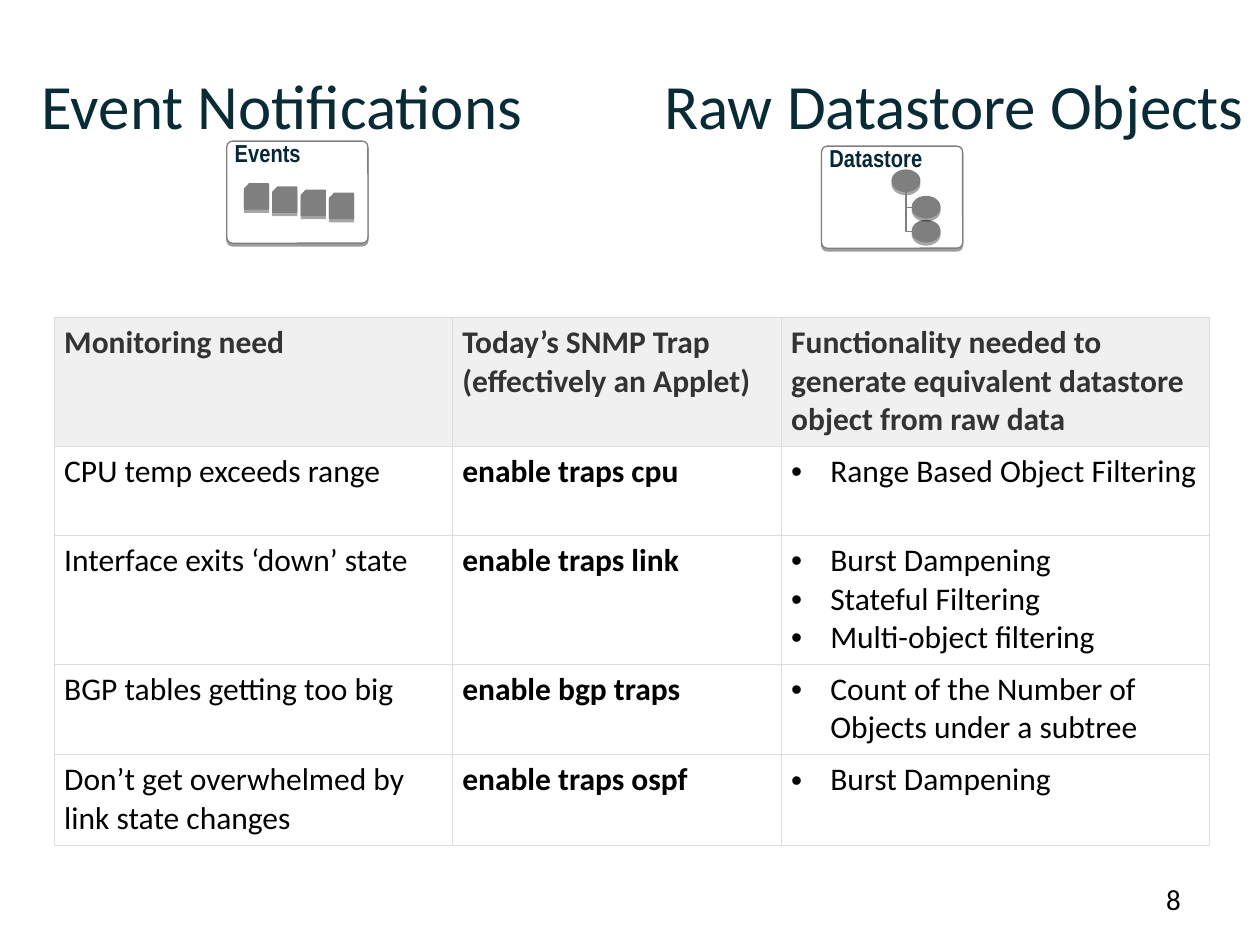
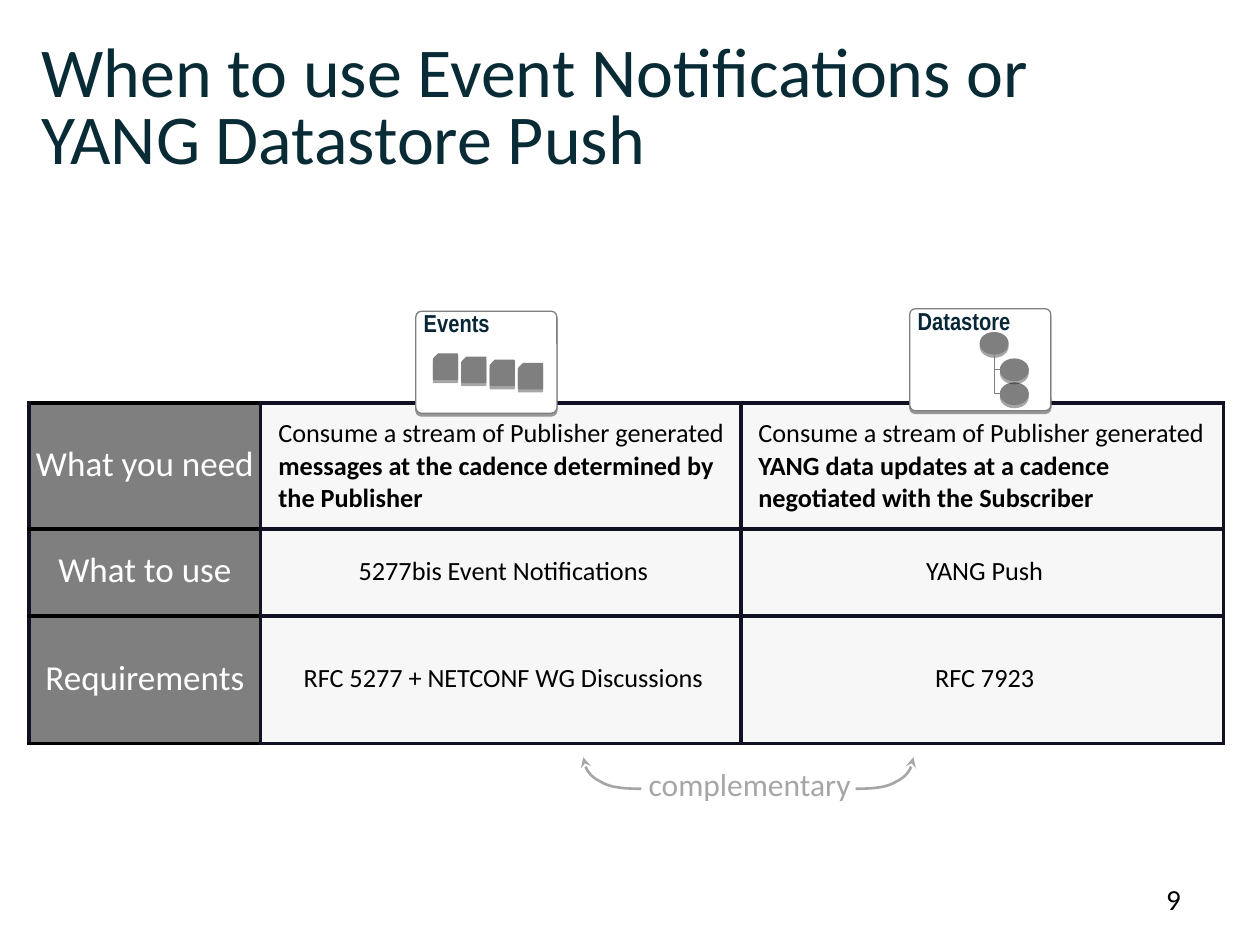
from dataclasses import dataclass
from typing import Optional

import pptx
import pptx.util
import pptx.dml.color
import pptx.enum.shapes
import pptx.enum.text
import pptx.oxml
import pptx.oxml.ns
from lxml import etree

Inches = pptx.util.Inches
Pt = pptx.util.Pt
RGBColor = pptx.dml.color.RGBColor
MSO_SHAPE = pptx.enum.shapes.MSO_SHAPE
PP_ALIGN = pptx.enum.text.PP_ALIGN
MSO_ANCHOR = pptx.enum.text.MSO_ANCHOR
qn = pptx.oxml.ns.qn

# Shared look
FONT = "Calibri"
BADGE_FONT = "Arial Narrow"
TITLE_INK = RGBColor(0x09, 0x2B, 0x35)
BADGE_INK = RGBColor(0x07, 0x27, 0x37)
BLACK = RGBColor(0, 0, 0)
WHITE = RGBColor(0xFF, 0xFF, 0xFF)
GREY = RGBColor(0x7F, 0x7F, 0x7F)
PALE_INK = RGBColor(0xA6, 0xA6, 0xA6)
HEADER_INK = RGBColor(0x33, 0x33, 0x33)
HEADER_FILL = RGBColor(0xF0, 0xF0, 0xF0)
HAIRLINE = RGBColor(0xDD, 0xDD, 0xDD)
GRID = RGBColor(0x10, 0x11, 0x22)
CELL_FILL = RGBColor(0xD9, 0xD9, 0xD9)

CARD_W, CARD_H = 1.12, 0.81
NODE_W, NODE_H = 0.22, 0.17


@dataclass
class CellStyle:
    size: float
    color: RGBColor
    fill: RGBColor
    border: RGBColor
    border_width: float
    rule: Optional[RGBColor] = None  # top and bottom edges, if they differ
    opacity: int = 100
    bold: Optional[bool] = None
    bullet: bool = False
    anchor: MSO_ANCHOR = MSO_ANCHOR.TOP
    align: PP_ALIGN = PP_ALIGN.LEFT
    spacing: Optional[float] = None
    indent: float = 0
    margins: tuple = (0.08, 0.08)


@dataclass
class Need:
    need: str
    trap: str
    functionality: str


@dataclass
class Choice:
    label: str
    events: tuple  # plain text, bold text
    datastore: tuple
    height: float


NEEDS_HEADER = Need(
    "Monitoring need",
    "Today’s SNMP Trap\n(effectively an Applet)",
    "Functionality needed to generate equivalent datastore object from raw data",
)
NEEDS = [
    Need("CPU temp exceeds range", "enable traps cpu", "Range Based Object Filtering"),
    Need("Interface exits ‘down’ state", "enable traps link",
         "Burst Dampening\nStateful Filtering\nMulti-object filtering"),
    Need("BGP tables getting too big", "enable bgp traps",
         "Count of the Number of Objects under a subtree"),
    Need("Don’t get overwhelmed by link state changes", "enable traps ospf",
         "Burst Dampening"),
]
CHOICES = [
    Choice("What you need",
           ("Consume a stream of Publisher generated ",
            "messages at the cadence determined by the Publisher"),
           ("Consume a stream of Publisher generated ",
            "YANG data updates at a cadence negotiated with the Subscriber"), 1),
    Choice("What to use", ("5277bis Event Notifications",), ("YANG Push",), 0.69),
    Choice("Requirements", ("RFC 5277 + NETCONF WG Discussions",), ("RFC 7923",), 1.01),
]


def set_font(font, size: float, color: RGBColor, name: str = FONT, bold=None) -> None:
    font.size, font.name, font.bold = Pt(size), name, bold
    font.color.rgb = color


def set_margins(target, left: float, top: float, right: float, bottom: float) -> None:
    target.margin_left, target.margin_top = Inches(left), Inches(top)
    target.margin_right, target.margin_bottom = Inches(right), Inches(bottom)


def add_sub(parent, tag: str, **attrs):
    return etree.SubElement(parent, qn(tag), {k: str(v) for k, v in attrs.items()})


# Title and page number
def add_slide(prs, title: str, size: float, width: float, page: int, tab=None):
    s = prs.slides.add_slide(prs.slide_layouts[5])
    sp = s.shapes.title
    sp.left, sp.top = Inches(0.23), Inches(0.42)
    sp.width, sp.height = Inches(width), Inches(0.92)
    tf = sp.text_frame
    tf.text = title
    tf.word_wrap = True
    tf.auto_size = pptx.enum.text.MSO_AUTO_SIZE.NONE
    tf.vertical_anchor = MSO_ANCHOR.MIDDLE
    p = tf.paragraphs[0]
    p.alignment, p.line_spacing = PP_ALIGN.LEFT, 0.8
    if tab is not None:
        tabs = add_sub(p._p.get_or_add_pPr(), "a:tabLst")
        add_sub(tabs, "a:tab", pos=Inches(tab), algn="l")
    set_font(p.font, size, TITLE_INK)
    add_label(s, str(page), 7.14, 6.95, 2.33, 16.6, BLACK)
    return s


def add_label(s, text: str, left: float, top: float, width: float, size: float,
              color: RGBColor, wrap: bool = True) -> None:
    tf = s.shapes.add_textbox(Inches(left), Inches(top), Inches(width), Inches(0.4)).text_frame
    tf.text, tf.word_wrap = text, wrap
    p = tf.paragraphs[0]
    p.alignment = PP_ALIGN.RIGHT
    set_font(p.font, size, color)


# Badges
def add_block(group, kind, left: float, top: float, width: float, height: float,
              fill: RGBColor = GREY, distance: float = 1.8, opacity: int = 35):
    sp = group.shapes.add_shape(kind, Inches(left), Inches(top), Inches(width), Inches(height))
    sp.fill.solid()
    sp.fill.fore_color.rgb = fill
    sp.line.color.rgb = GREY
    sp.line.width = Pt(0.75)
    sp.shadow.inherit = False
    effects = sp.element.spPr.find(qn("a:effectLst"))
    shadow = add_sub(effects, "a:outerShdw", blurRad=0, dist=Pt(distance),
                     dir=5400000, rotWithShape=0)
    ink = add_sub(shadow, "a:srgbClr", val="000000")
    add_sub(ink, "a:alpha", val=opacity * 1000)
    return sp


def add_card(s, name: str, left: float, top: float):
    group = s.shapes.add_group_shape()
    card = add_block(group, MSO_SHAPE.ROUNDED_RECTANGLE, left, top, CARD_W, CARD_H,
                     WHITE, 1.6, 38)
    card.adjustments[0] = 0.056
    tf = card.text_frame
    tf.text, tf.word_wrap = name, True
    tf.vertical_anchor = MSO_ANCHOR.TOP
    set_margins(tf, 0.05, 0, 0.05, 0.05)
    p = tf.paragraphs[0]
    p.alignment, p.line_spacing = PP_ALIGN.LEFT, 0.85
    set_font(p.font, 14, BADGE_INK, BADGE_FONT, True)
    return group


def add_events_badge(s, left: float, top: float) -> None:
    group = add_card(s, "Events", left, top)
    for i in range(4):
        add_block(group, MSO_SHAPE.FLOWCHART_CARD,
                  left + 0.14 + 0.225 * i, top + 0.34 + 0.025 * i, 0.19, 0.2)


def add_branch(group, x1: float, y1: float, x2: float, y2: float) -> None:
    """Draw an elbow that runs down from the first point, then right to the second."""
    cx, cy = (x1 + x2) / 2, (y1 + y2) / 2
    dx, dy = (x2 - x1) / 2, (y2 - y1) / 2
    c = group.shapes.add_connector(
        pptx.enum.shapes.MSO_CONNECTOR.ELBOW,
        Inches(cx - dy), Inches(cy - dx), Inches(cx + dy), Inches(cy + dx))
    c.line.color.rgb = GREY
    c.line.width = Pt(0.75)
    spPr = c.element.spPr
    xfrm = spPr.find(qn("a:xfrm"))
    xfrm.set("rot", "16200000")
    xfrm.set("flipH", "1")
    spPr.find(qn("a:prstGeom")).set("prst", "bentConnector2")
    add_sub(spPr, "a:effectLst")


def add_datastore_badge(s, left: float, top: float) -> None:
    group = add_card(s, "Datastore", left, top)
    root_x, root_y, child_x = left + 0.56, top + 0.19, left + 0.72
    add_block(group, MSO_SHAPE.OVAL, root_x, root_y, NODE_W, NODE_H)
    for child_y in (top + 0.59, top + 0.4):
        add_branch(group, root_x + NODE_W / 2, root_y + NODE_H,
                   child_x, child_y + NODE_H / 2)
        add_block(group, MSO_SHAPE.OVAL, child_x, child_y, NODE_W, NODE_H)


# Tables
def add_table(s, left: float, top: float, widths: list, heights: list):
    frame = s.shapes.add_table(len(heights), len(widths), Inches(left), Inches(top),
                               Inches(sum(widths)), Inches(sum(heights)))
    table = frame.table
    table.first_row = table.horz_banding = False
    for column, width in zip(table.columns, widths):
        column.width = Inches(width)
    for row, height in zip(table.rows, heights):
        row.height = Inches(height)
    return table


def style_cell(cell, st: CellStyle) -> None:
    cell.fill.solid()
    cell.fill.fore_color.rgb = st.fill
    cell.vertical_anchor = st.anchor
    set_margins(cell, st.margins[0], 0.05, st.margins[1], 0.05)
    tcPr = cell._tc.get_or_add_tcPr()
    if st.opacity < 100:
        add_sub(tcPr.find(".//" + qn("a:srgbClr")), "a:alpha", val=st.opacity * 1000)
    for i, side in enumerate("LRTB"):
        color = st.rule if st.rule is not None and side in "TB" else st.border
        ln = etree.Element(qn("a:ln" + side), w=str(Pt(st.border_width)))
        add_sub(add_sub(ln, "a:solidFill"), "a:srgbClr", val=str(color))
        tcPr.insert(i, ln)
    for p in cell.text_frame.paragraphs:
        p.alignment = st.align
        if st.spacing is not None:
            p.line_spacing = st.spacing
        pPr = p._p.get_or_add_pPr()
        if st.indent:
            pPr.set("marL", str(Inches(st.indent)))
        if st.bullet:
            pPr.set("indent", str(-Inches(st.indent)))
            add_sub(pPr, "a:buFont", typeface="Arial")
            add_sub(pPr, "a:buChar", char="•")
        set_font(p.font, st.size, st.color, bold=st.bold)


def add_needs_table(s) -> None:
    table = add_table(s, 0.43, 2.52, [3.16, 2.61, 3.4], [1.02, 0.71, 1.02, 0.72, 0.72])
    header = CellStyle(18, HEADER_INK, HEADER_FILL, HAIRLINE, 0.28, bold=True)
    body = (18, BLACK, WHITE, HAIRLINE, 0.28)
    columns = [CellStyle(*body), CellStyle(*body, bold=True),
               CellStyle(*body, bullet=True, indent=0.31)]
    for r, row in enumerate([NEEDS_HEADER, *NEEDS]):
        for c, text in enumerate((row.need, row.trap, row.functionality)):
            cell = table.cell(r, c)
            cell.text = text
            style_cell(cell, columns[c] if r else header)


def add_choice_table(s) -> None:
    table = add_table(s, 0.23, 3.2, [1.84, 3.81, 3.83], [row.height for row in CHOICES])
    middle = MSO_ANCHOR.MIDDLE
    label = CellStyle(20, WHITE, BLACK, GRID, 2.21, rule=BLACK, opacity=50, anchor=middle,
                      align=PP_ALIGN.CENTER, spacing=0.8, margins=(0.01, 0.01))
    body = dict(size=15, color=BLACK, fill=CELL_FILL, border=GRID, border_width=2.21,
                opacity=20, anchor=middle, margins=(0.08, 0.04))
    sentence = CellStyle(**body, indent=0.06)
    phrase = CellStyle(**body, align=PP_ALIGN.CENTER, spacing=0.85)
    for r, row in enumerate(CHOICES):
        table.cell(r, 0).text = row.label
        style_cell(table.cell(r, 0), label)
        for c, parts in enumerate((row.events, row.datastore), start=1):
            cell = table.cell(r, c)
            p = cell.text_frame.paragraphs[0]
            for i, text in enumerate(parts):
                run = p.add_run()
                run.text = text
                if i:
                    run.font.bold = True
            style_cell(cell, sentence if len(parts) > 1 else phrase)


# Curved arrows
def bezier(points: tuple, t: float) -> tuple:
    weights = ((1 - t) ** 3, 3 * t * (1 - t) ** 2, 3 * t * t * (1 - t), t ** 3)
    return tuple(sum(w * pt[axis] for w, pt in zip(weights, points)) for axis in (0, 1))


def add_curved_arrow(s, center: float, side: int) -> None:
    """Sweep outward and up from beside the label; side is 1 for right, -1 for left."""
    curves = (((0.85, 6.26), (1, 6.26), (1.1, 6.25), (1.18, 6.2)),
              ((1.18, 6.2), (1.26, 6.16), (1.3, 6.1), (1.31, 6.01)))
    points = [bezier(curve, i / 10) for curve in curves for i in range(11)]
    points = [(Inches(center + side * x), Inches(y)) for x, y in points]
    builder = s.shapes.build_freeform(*points[0])
    builder.add_line_segments(points[1:], close=False)
    sp = builder.convert_to_shape()
    sp.fill.background()
    sp.shadow.inherit = False
    sp.line.color.rgb = PALE_INK
    sp.line.width = Pt(1.5)
    add_sub(sp.element.spPr.find(qn("a:ln")), "a:tailEnd", type="stealth")


def main() -> None:
    prs = pptx.Presentation()
    prs.slide_width, prs.slide_height = Inches(10), Inches(7.5)

    # Traps compared with datastore objects
    s = add_slide(prs, "Event Notifications\tRaw Datastore Objects", 36, 9.77, 8, tab=4.94)
    add_events_badge(s, 1.8, 1.12)
    add_datastore_badge(s, 6.52, 1.16)
    add_needs_table(s)

    # Choosing between the two
    s = add_slide(prs, "When to use Event Notifications or YANG Datastore Push", 40, 9.38, 9)
    add_choice_table(s)
    add_label(s, "complementary", 5.04, 6.02, 1.81, 18, PALE_INK, wrap=False)
    for side in (1, -1):
        add_curved_arrow(s, 5.94, side)
    add_events_badge(s, 3.3, 2.47)
    add_datastore_badge(s, 7.22, 2.45)

    prs.save("out.pptx")


if __name__ == "__main__":
    main()
